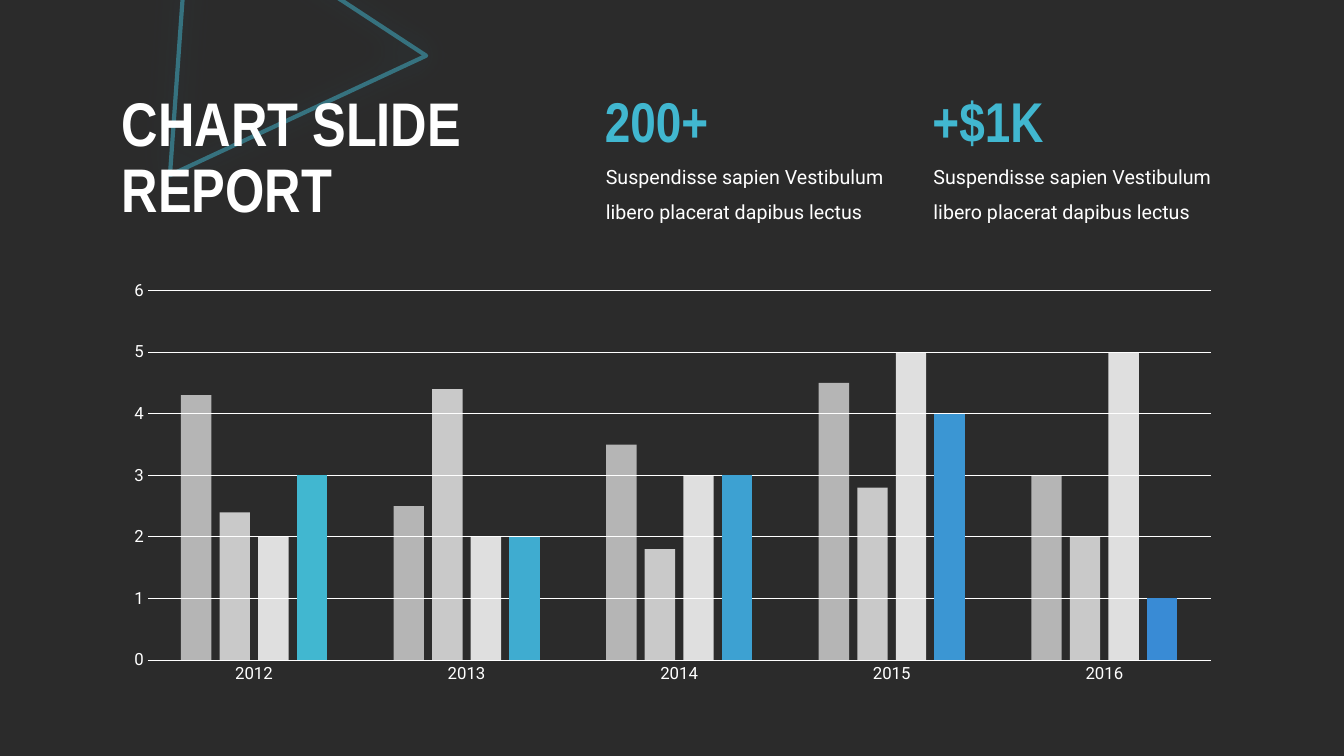
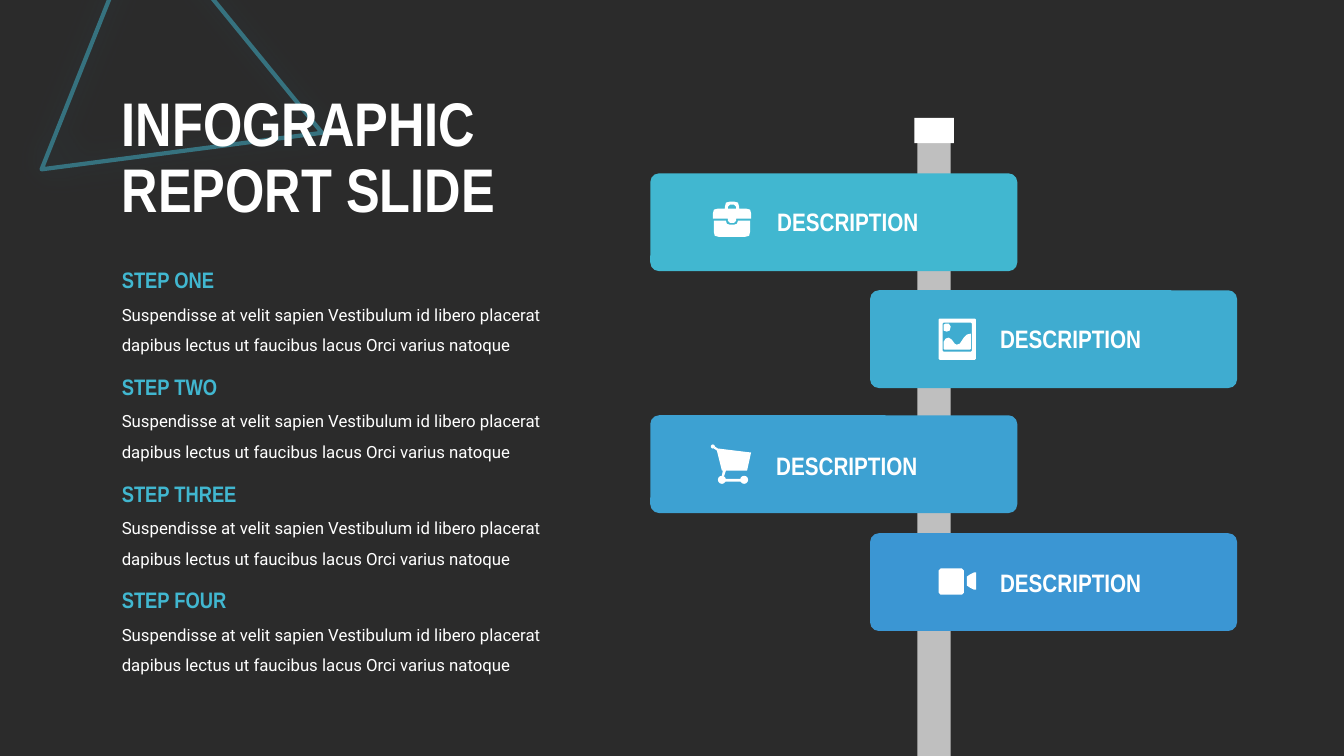
"""Build a chart slide and a signpost infographic slide in one dark theme."""
import lxml.etree
import pptx
import pptx.chart.data
import pptx.dml.color
import pptx.enum.chart
import pptx.enum.shapes
import pptx.enum.text
import pptx.oxml.ns
import pptx.util

Inches = pptx.util.Inches
Pt = pptx.util.Pt
qn = pptx.oxml.ns.qn
SHAPES = pptx.enum.shapes.MSO_SHAPE

BACKGROUND = "2B2B2B"
WHITE = "FFFFFF"
POST_GREY = "BFBFBF"
ACCENTS = ["41B7D0", "3FACD0", "3DA1D2", "3B96D3", "398BD5"]
HEADING_FONT = "Arial Narrow"
BODY_FONT = "Roboto"
MARGIN = 1.11

YEARS = ["2012", "2013", "2014", "2015", "2016"]
SERIES = [
    ("Series 1", [4.3, 2.5, 3.5, 4.5, 3], 65),
    ("Series 2", [2.4, 4.4, 1.8, 2.8, 2], 75),
    ("Series 3", [2, 2, 3, 5, 5], 85),
    ("Series 4", [3, 2, 3, 4, 1], None),
]
KEY_FIGURES = [(5.9, "200+"), (9.15, "+$1K")]
KEY_FIGURE_NOTE = "Suspendisse sapien Vestibulum libero placerat dapibus lectus"
STEPS = ["STEP ONE", "STEP TWO", "STEP THREE", "STEP FOUR"]
STEP_NOTE = ("Suspendisse at velit sapien Vestibulum id libero placerat "
             "dapibus lectus ut faucibus lacus Orci varius natoque")
BOARDS = [
    (6.45, 1.72, 7.61, 2),
    (8.63, 2.88, 9.82, 3.16),
    (6.45, 4.12, 7.6, 4.42),
    (8.63, 5.29, 9.82, 5.58),
]


def rgb(value):
    return pptx.dml.color.RGBColor.from_string(value)


def set_alpha(element, percent):
    for colour in element.iter(qn("a:srgbClr")):
        lxml.etree.SubElement(colour, qn("a:alpha"), val=str(percent * 1000))


def style_font(font, name, size, colour, bold=False):
    font.name = name
    font.size = Pt(size)
    font.bold = bold
    font.color.rgb = rgb(colour)


def paint(shape, colour):
    shape.shadow.inherit = False
    shape.fill.solid()
    shape.fill.fore_color.rgb = rgb(colour)
    shape.line.fill.background()


def add_box(slide, left, top, width, height, colour, kind=SHAPES.RECTANGLE):
    box = slide.shapes.add_shape(
        kind, Inches(left), Inches(top), Inches(width), Inches(height))
    paint(box, colour)
    return box


def add_outline(slide, *contours):
    scaled = [[(Inches(x), Inches(y)) for x, y in contour] for contour in contours]
    builder = slide.shapes.build_freeform(*scaled[0][0], scale=1.0)
    builder.add_line_segments(scaled[0][1:], close=True)
    for contour in scaled[1:]:
        builder.move_to(*contour[0])
        builder.add_line_segments(contour[1:], close=True)
    paint(builder.convert_to_shape(), WHITE)


def add_disc(slide, x, y, radius):
    add_box(slide, x - radius, y - radius, 2 * radius, 2 * radius, WHITE, SHAPES.OVAL)


def soft_rectangle(left, top, right, bottom, cut=0.01):
    return [(left + cut, top), (right - cut, top),
            (right, top + cut), (right, bottom - cut),
            (right - cut, bottom), (left + cut, bottom),
            (left, bottom - cut), (left, top + cut)]


def add_text(slide, text, left, top, width, height, size, colour=WHITE,
             heading=False, spacing=None):
    box = slide.shapes.add_textbox(
        Inches(left), Inches(top), Inches(width), Inches(height))
    frame = box.text_frame
    frame.word_wrap = True
    paragraph = frame.paragraphs[0]
    paragraph.text = text
    if spacing:
        paragraph.line_spacing = spacing
    for run in paragraph.runs:
        style_font(run.font, HEADING_FONT if heading else BODY_FONT,
                   size, colour, heading)
    return frame


def add_triangle(slide, left, top, rotation):
    triangle = slide.shapes.add_shape(
        SHAPES.ISOSCELES_TRIANGLE, Inches(left), Inches(top), Inches(2.73), Inches(2.45))
    triangle.rotation = rotation
    triangle.fill.background()
    triangle.line.color.rgb = rgb(ACCENTS[0])
    triangle.line.width = Pt(3)
    set_alpha(triangle.element.spPr, 50)
    triangle.shadow.inherit = False
    effects = triangle.element.spPr.find(qn("a:effectLst"))
    glow = lxml.etree.SubElement(
        effects, qn("a:outerShdw"), blurRad=str(Pt(25)), dist="0", dir="0",
        algn="ctr", rotWithShape="0")
    lxml.etree.SubElement(glow, qn("a:srgbClr"), val=ACCENTS[0])
    set_alpha(glow, 35)


def add_slide(deck, title, triangle_left, triangle_top, rotation):
    slide = deck.slides.add_slide(deck.slide_layouts[6])
    slide.background.fill.solid()
    slide.background.fill.fore_color.rgb = rgb(BACKGROUND)
    add_triangle(slide, triangle_left, triangle_top, rotation)
    frame = add_text(slide, title, MARGIN, 0.79, 5.62, 1.58, 44,
                     heading=True, spacing=0.9)
    frame.vertical_anchor = pptx.enum.text.MSO_ANCHOR.MIDDLE
    return slide


def style_axis(axis):
    axis.major_tick_mark = pptx.enum.chart.XL_TICK_MARK.NONE
    axis.minor_tick_mark = pptx.enum.chart.XL_TICK_MARK.NONE
    style_font(axis.tick_labels.font, BODY_FONT, 12, WHITE)


def style_line(line):
    line.color.rgb = rgb(WHITE)
    line.width = Pt(0.75)


def paint_bars(series, opacity):
    fill = series.format.fill
    fill.solid()
    fill.fore_color.rgb = rgb(WHITE if opacity else ACCENTS[0])
    series.invert_if_negative = False
    if opacity:
        set_alpha(series._element, opacity)
        return
    for index, colour in enumerate(ACCENTS[1:], start=1):
        point_fill = series.points[index].format.fill
        point_fill.solid()
        point_fill.fore_color.rgb = rgb(colour)


def add_year_chart(slide):
    data = pptx.chart.data.CategoryChartData()
    data.categories = YEARS
    for name, values, _ in SERIES:
        data.add_series(name, values)
    chart = slide.shapes.add_chart(
        pptx.enum.chart.XL_CHART_TYPE.COLUMN_CLUSTERED,
        Inches(MARGIN), Inches(2.7), Inches(11.12), Inches(4.17), data).chart
    chart.has_legend = False
    chart.has_title = False
    style_font(chart.font, BODY_FONT, 10, WHITE)
    plot = chart.plots[0]
    plot.gap_width = 219
    plot.overlap = -27
    plot.vary_by_categories = False
    for series, (_, _, opacity) in zip(plot.series, SERIES):
        paint_bars(series, opacity)
    years, amounts = chart.category_axis, chart.value_axis
    style_axis(years)
    style_line(years.format.line)
    style_axis(amounts)
    amounts.minimum_scale = 0
    amounts.maximum_scale = 6
    amounts.major_unit = 1
    amounts.format.line.fill.background()
    amounts.has_major_gridlines = True
    style_line(amounts.major_gridlines.format.line)


def add_briefcase(slide):
    add_outline(
        slide,
        [(7.08, 2.19), (7.2, 2.19), (7.21, 2.22), (7.24, 2.23), (7.28, 2.23),
         (7.31, 2.22), (7.32, 2.19), (7.44, 2.19), (7.44, 2.3), (7.43, 2.34),
         (7.39, 2.35), (7.13, 2.35), (7.09, 2.34), (7.08, 2.3)])
    add_outline(
        slide,
        [(7.07, 2.17), (7.07, 2.12), (7.08, 2.08), (7.12, 2.07), (7.19, 2.07),
         (7.19, 2.05), (7.2, 2.01), (7.24, 2), (7.28, 2), (7.32, 2.01),
         (7.33, 2.05), (7.33, 2.07), (7.4, 2.07), (7.44, 2.08), (7.45, 2.12),
         (7.45, 2.17), (7.3, 2.17), (7.3, 2.19), (7.28, 2.21), (7.24, 2.21),
         (7.22, 2.19), (7.22, 2.17)],
        [(7.22, 2.07), (7.22, 2.05), (7.24, 2.03), (7.28, 2.03), (7.3, 2.05),
         (7.3, 2.07)])


def add_landscape(slide):
    add_outline(slide, soft_rectangle(9.31, 3.16, 9.68, 3.57),
                soft_rectangle(9.35, 3.2, 9.64, 3.49))
    add_outline(
        slide,
        [(9.36, 3.39), (9.38, 3.36), (9.41, 3.35), (9.44, 3.37), (9.47, 3.41),
         (9.49, 3.42), (9.52, 3.41), (9.56, 3.35), (9.59, 3.32), (9.63, 3.31),
         (9.63, 3.46), (9.62, 3.47), (9.37, 3.47), (9.36, 3.46)])
    add_outline(
        slide,
        [(9.36, 3.22), (9.38, 3.21), (9.41, 3.21), (9.43, 3.24), (9.42, 3.28),
         (9.39, 3.29), (9.36, 3.28)])


def add_cart(slide):
    add_outline(
        slide,
        [(7.08, 4.45), (7.09, 4.43), (7.12, 4.45), (7.45, 4.49), (7.41, 4.67),
         (7.2, 4.67), (7.18, 4.73), (7.16, 4.72), (7.17, 4.67), (7.16, 4.67),
         (7.11, 4.47)])
    add_box(slide, 7.18, 4.75, 0.17, 0.03, WHITE)
    add_disc(slide, 7.07, 4.43, 0.02)
    for wheel_x in (7.16, 7.38):
        add_disc(slide, wheel_x, 4.76, 0.04)


def add_camera(slide):
    add_outline(slide, soft_rectangle(9.31, 5.64, 9.56, 5.9, 0.02))
    add_outline(
        slide,
        [(9.59, 5.72), (9.62, 5.7), (9.66, 5.68), (9.68, 5.68), (9.68, 5.85),
         (9.66, 5.85), (9.62, 5.83), (9.59, 5.81)])


def add_signpost(slide):
    post_top = 1.32
    add_box(slide, 9.1, post_top, 0.33, 7.5 - post_top, POST_GREY)
    add_box(slide, 9.07, 1.17, 0.39, 0.25, WHITE)
    icons = [add_briefcase, add_landscape, add_cart, add_camera]
    for (left, top, label_left, label_top), colour, add_icon in zip(BOARDS, ACCENTS, icons):
        board = add_box(slide, left, top, 3.64, 0.97, colour, SHAPES.ROUNDED_RECTANGLE)
        board.adjustments[0] = 0.09
        add_icon(slide)
        add_text(slide, "DESCRIPTION", label_left, label_top, 1.88, 0.4, 18, heading=True)


def build_chart_slide(deck):
    slide = add_slide(deck, "CHART SLIDE\vREPORT", 1.64, -0.76, 94.1)
    add_year_chart(slide)
    for left, figure in KEY_FIGURES:
        add_text(slide, KEY_FIGURE_NOTE, left + 0.01, 1.47, 3.29, 0.77, 14, spacing=1.5)
        add_text(slide, figure, left, 0.81, 1.79, 0.77, 40, ACCENTS[0], heading=True)


def build_infographic_slide(deck):
    slide = add_slide(deck, "INFOGRAPHIC\vREPORT SLIDE", 0.69, -0.36, 111.7)
    add_signpost(slide)
    for index, step in enumerate(STEPS):
        top = 2.59 + 1.06 * index
        add_text(slide, STEP_NOTE, MARGIN, top + 0.28, 4.5, 0.67, 12, spacing=1.5)
        add_text(slide, step, MARGIN, top, 2.45, 0.37, 16, ACCENTS[0], heading=True)


def main():
    deck = pptx.Presentation()
    deck.slide_width = Inches(13.33)
    deck.slide_height = Inches(7.5)
    build_chart_slide(deck)
    build_infographic_slide(deck)
    deck.save("out.pptx")


if __name__ == "__main__":
    main()
